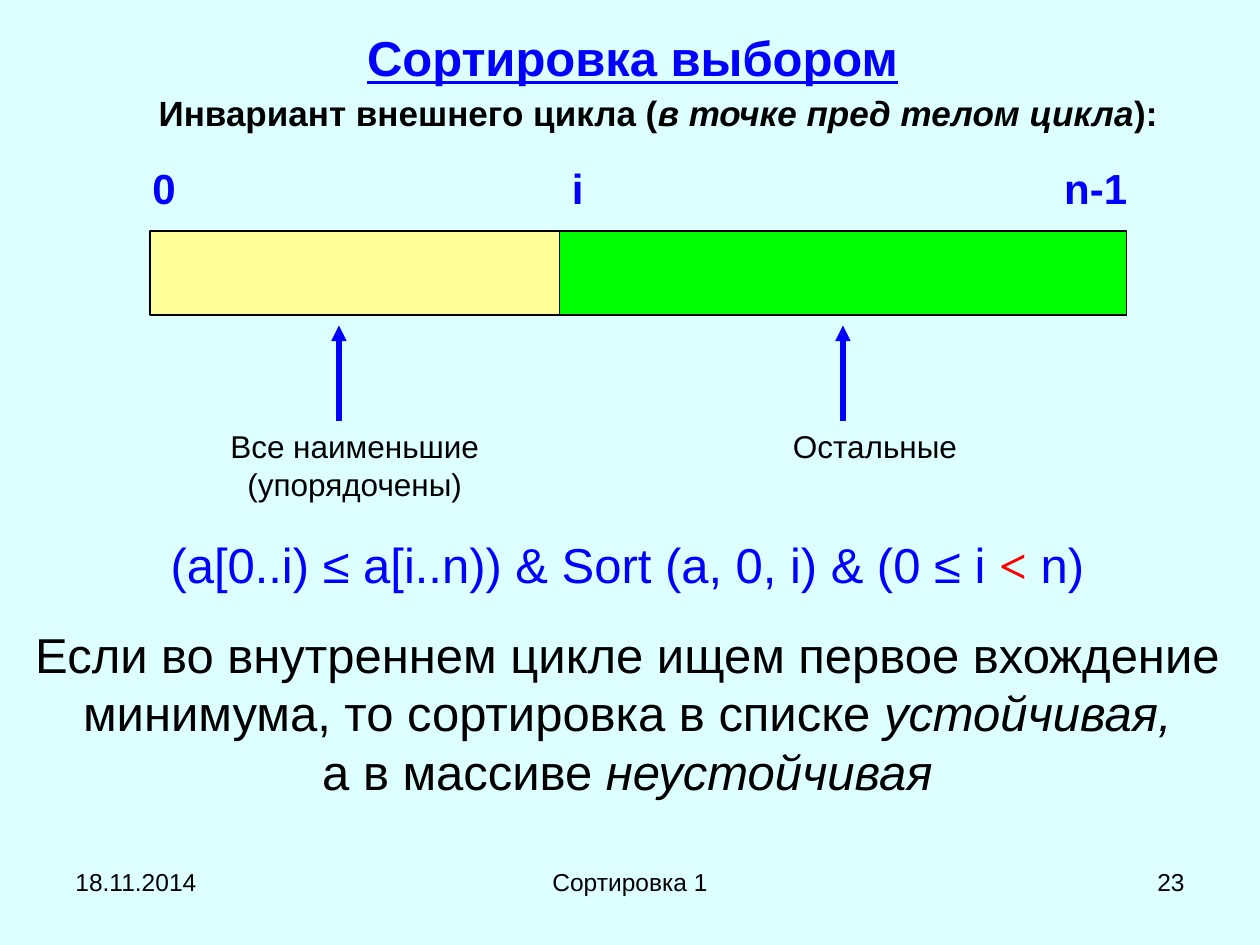
from lxml.etree import SubElement
from pptx import Presentation
from pptx.dml.color import RGBColor
from pptx.enum.shapes import MSO_CONNECTOR, MSO_SHAPE
from pptx.enum.text import MSO_ANCHOR, PP_ALIGN
from pptx.oxml.ns import qn
from pptx.util import Pt

THEME = {
    "font": "Arial", "symbol_font": "Times New Roman",
    "back": "DDFFFF", "text": "000000", "accent": "0000FF", "alert": "FF0000",
    "sorted": "FFFF99", "rest": "00FF00",
    "title": 28, "subtitle": 20, "index": 24, "label": 18, "body": 28, "footer": 14,
}
LEFT, CENTER, RIGHT = PP_ALIGN.LEFT, PP_ALIGN.CENTER, PP_ALIGN.RIGHT

TITLE = [[("Сортировка выбором", {"bold": True, "underline": True})]]
SUBTITLE = [[("Инвариант внешнего цикла (", {"bold": True}),
             ("в точке пред телом цикла", {"bold": True, "italic": True}),
             ("):", {"bold": True})]]
BODY = [
    [("(a[0..i) ≤ a[i..n)) & Sort (a, 0, i) & (0 ≤ i ", {"color": "accent"}),
     ("<", {"color": "alert", "font": "symbol_font", "bold": True}),
     (" n)", {"color": "accent"})],
    [("Если во внутреннем цикле ищем первое вхождение минимума, "
      "то сортировка в списке ", {}),
     ("устойчивая,", {"italic": True}),
     ("\vа в массиве", {}),
     (" неустойчивая", {"italic": True})],
]
FOOTER = [("18.11.2014", 36, 168, LEFT), ("Сортировка 1", 246, 228, CENTER),
          ("23", 516, 168, RIGHT)]
SEGMENTS = [("sorted", 234), ("rest", 324)]
INDEXES = [("0", 80, 42), ("i", 319.7, 24), ("n-1", 601, 63)]
LABELS = [("Все наименьшие (упорядочены)", 85.7, 234, 50),
          ("Остальные", 362, 276, 29)]
ARROWS_X = [193.7, 481.7]
BAR_LEFT, BAR_TOP, BAR_HEIGHT = 85.7, 132, 48
ARROW_TOP, LABEL_TOP = 186, 240.5


def rgb(name):
    return RGBColor.from_string(THEME[name])


def add_text(s, paragraphs, box, size, color="text", align=LEFT,
             anchor=MSO_ANCHOR.TOP, gap=0):
    tf = s.shapes.add_textbox(*map(Pt, box)).text_frame
    tf.word_wrap = True
    tf.vertical_anchor = anchor
    for i, runs in enumerate(paragraphs):
        p = tf.paragraphs[0] if i == 0 else tf.add_paragraph()
        p.alignment = align
        if i:
            p.space_before = Pt(gap)
        for text, style in runs:
            if text.startswith("\v"):
                p.add_line_break()
            r = p.add_run()
            r.text = text.lstrip("\v")
            r.font.name = THEME[style.get("font", "font")]
            r.font.size = Pt(THEME[size])
            r.font.color.rgb = rgb(style.get("color", color))
            r.font.bold = style.get("bold", False)
            r.font.italic = style.get("italic", False)
            r.font.underline = style.get("underline", False)


def add_segment(s, fill, left, width):
    sp = s.shapes.add_shape(MSO_SHAPE.RECTANGLE, Pt(left), Pt(BAR_TOP),
                            Pt(width), Pt(BAR_HEIGHT))
    sp.shadow.inherit = False
    sp.fill.solid()
    sp.fill.fore_color.rgb = rgb(fill)
    sp.line.color.rgb = rgb("text")
    sp.line.width = Pt(0.75)


def add_arrow(s, x):
    line = s.shapes.add_connector(MSO_CONNECTOR.STRAIGHT, Pt(x), Pt(LABEL_TOP),
                                  Pt(x), Pt(ARROW_TOP))
    line.line.color.rgb = rgb("accent")
    line.line.width = Pt(3)
    SubElement(line.line._get_or_add_ln(), qn("a:tailEnd"), type="triangle")
    SubElement(line._element.spPr, qn("a:effectLst"))


def main():
    prs = Presentation()
    prs.slide_width, prs.slide_height = Pt(720), Pt(540)
    s = prs.slides.add_slide(prs.slide_layouts[6])
    s.background.fill.solid()
    s.background.fill.fore_color.rgb = rgb("back")

    for text, left, width, align in FOOTER:
        add_text(s, [[(text, {})]], (left, 492, width, 37), "footer", align=align)
    add_text(s, TITLE, (37.5, 11.5, 648, 42.5), "title", "accent", CENTER,
             MSO_ANCHOR.MIDDLE)
    add_text(s, SUBTITLE, (52.5, 48.5, 647, 52), "subtitle", align=CENTER)

    left = BAR_LEFT
    for fill, width in SEGMENTS:
        add_segment(s, fill, left, width)
        left += width
    for text, left, width in INDEXES:
        add_text(s, [[(text, {"bold": True})]], (left, 89.5, width, 36),
                 "index", "accent")
    for x in ARROWS_X:
        add_arrow(s, x)
    for text, left, width, height in LABELS:
        add_text(s, [[(text, {})]], (left, LABEL_TOP, width, height),
                 "label", align=CENTER)
    add_text(s, BODY, (-1.5, 302, 720, 159), "body", align=CENTER, gap=17.5)
    prs.save("out.pptx")


if __name__ == "__main__":
    main()
